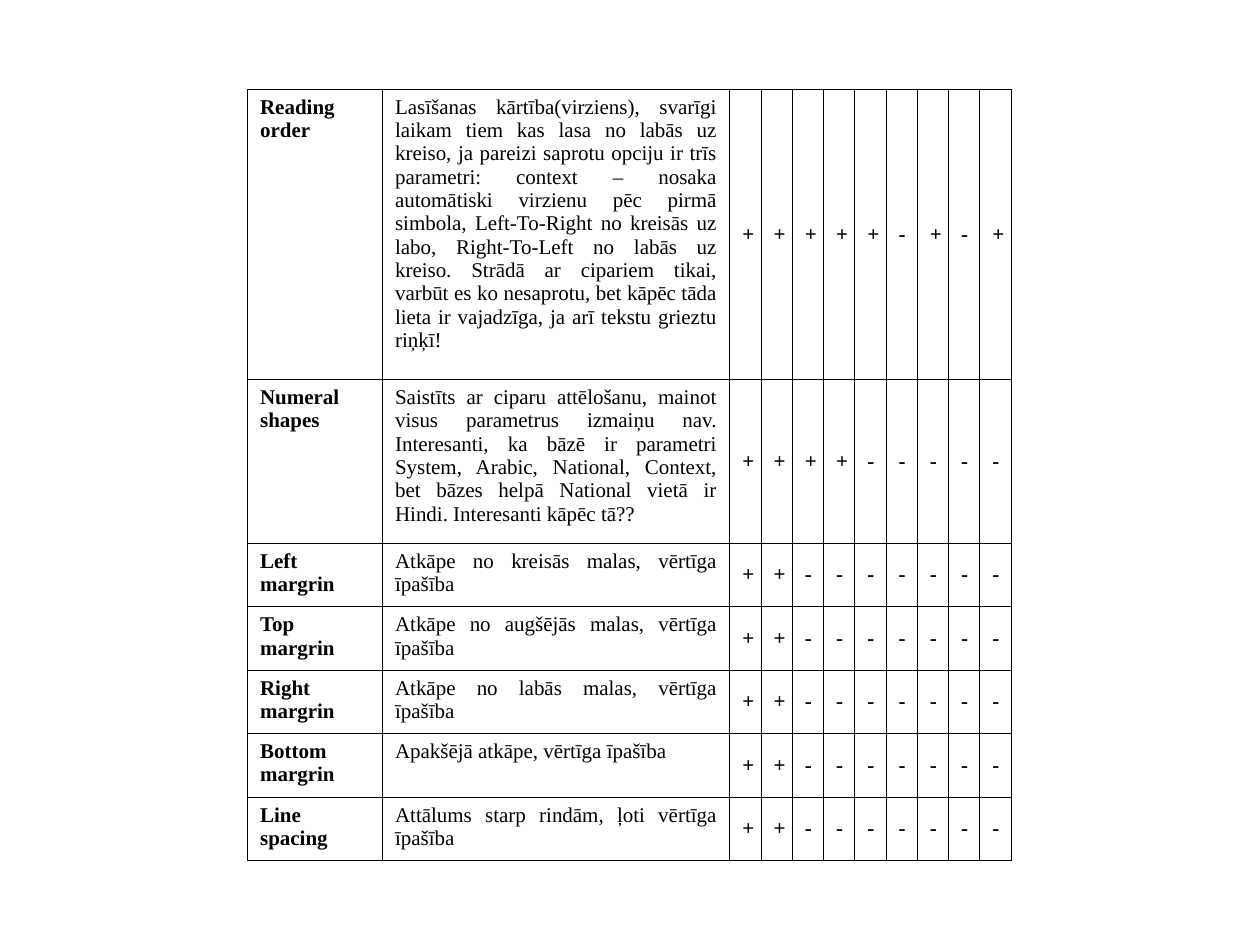
from lxml import etree
from pptx import Presentation
from pptx import util as u
from pptx.dml.color import RGBColor
from pptx.enum import text
from pptx.oxml.ns import qn

COLOURS = {"ink": "000000"}

MARK_COUNT = 9
COLUMN_WIDTHS = [2.72, 7] + [0.63] * MARK_COUNT

# Property, description, support marks, row height in cm
PROPERTIES = [
    ("Reading order",
     "Lasīšanas kārtība(virziens), svarīgi laikam tiem kas lasa no labās uz "
     "kreiso, ja pareizi saprotu opciju ir trīs parametri: context – nosaka "
     "automātiski virzienu pēc pirmā simbola, Left-To-Right no kreisās uz labo, "
     "Right-To-Left no labās uz kreiso. Strādā ar cipariem tikai, varbūt es ko "
     "nesaprotu, bet kāpēc tāda lieta ir vajadzīga, ja arī tekstu grieztu riņķī!",
     "+++++-+-+", 5.85),
    ("Numeral shapes",
     "Saistīts ar ciparu attēlošanu, mainot visus parametrus izmaiņu nav. "
     "Interesanti, ka bāzē ir parametri System, Arabic, National, Context, "
     "bet bāzes helpā National vietā ir Hindi. Interesanti kāpēc tā??",
     "++++-----", 3.3),
    ("Left margrin", "Atkāpe no kreisās malas, vērtīga īpašība", "++-------", 1.28),
    ("Top margrin", "Atkāpe no augšējās malas, vērtīga īpašība", "++-------", 1.28),
    ("Right margrin", "Atkāpe no labās malas, vērtīga īpašība", "++-------", 1.28),
    ("Bottom margrin", "Apakšējā atkāpe, vērtīga īpašība", "++-------", 1.28),
    ("Line spacing", "Attālums starp rindām, ļoti vērtīga īpašība", "++-------", 1.28),
]


class SlideBuilder:
    font = "Times New Roman"
    size = u.Pt(12)
    border = u.Pt(0.45)

    def __init__(self, slide):
        self.slide = slide

    def table(self, left, top, widths, heights):
        frame = self.slide.shapes.add_table(
            len(heights), len(widths), u.Cm(left), u.Cm(top),
            u.Cm(sum(widths)), u.Cm(sum(heights)))
        grid = frame.table
        grid.first_row = grid.horz_banding = False
        for column, width in zip(grid.columns, widths):
            column.width = u.Cm(width)
        for row, height in zip(grid.rows, heights):
            row.height = u.Cm(height)
        return grid

    def cell(self, cell, words, bold=False, mark=False):
        cell.fill.background()
        self.outline(cell)
        cell.vertical_anchor = (
            text.MSO_ANCHOR.MIDDLE if mark else text.MSO_ANCHOR.TOP)
        paragraph = cell.text_frame.paragraphs[0]
        paragraph.alignment = text.PP_ALIGN.CENTER if mark else text.PP_ALIGN.JUSTIFY
        run = paragraph.add_run()
        run.text = words
        run.font.name = self.font
        run.font.size = self.size
        run.font.bold = bold
        run.font.color.rgb = RGBColor.from_string(COLOURS["ink"])

    def outline(self, cell):
        """Draw all four borders; they must precede the fill in the cell XML."""
        properties = cell._tc.get_or_add_tcPr()
        for position, side in enumerate(("lnL", "lnR", "lnT", "lnB")):
            line = etree.Element(qn(f"a:{side}"), w=str(int(self.border)))
            fill = etree.SubElement(line, qn("a:solidFill"))
            etree.SubElement(fill, qn("a:srgbClr"), val=COLOURS["ink"])
            properties.insert(position, line)


def main():
    deck = Presentation()
    deck.slide_width, deck.slide_height = u.Cm(25.4), u.Cm(19.05)
    builder = SlideBuilder(deck.slides.add_slide(deck.slide_layouts[6]))
    heights = [height for *_, height in PROPERTIES]
    grid = builder.table(4.99, 1.8, COLUMN_WIDTHS, heights)
    for row, (name, description, marks, _) in enumerate(PROPERTIES):
        builder.cell(grid.cell(row, 0), name, bold=True)
        builder.cell(grid.cell(row, 1), description)
        for column, mark in enumerate(marks, start=2):
            builder.cell(grid.cell(row, column), mark, bold=True, mark=True)
    deck.save("out.pptx")


if __name__ == "__main__":
    main()
